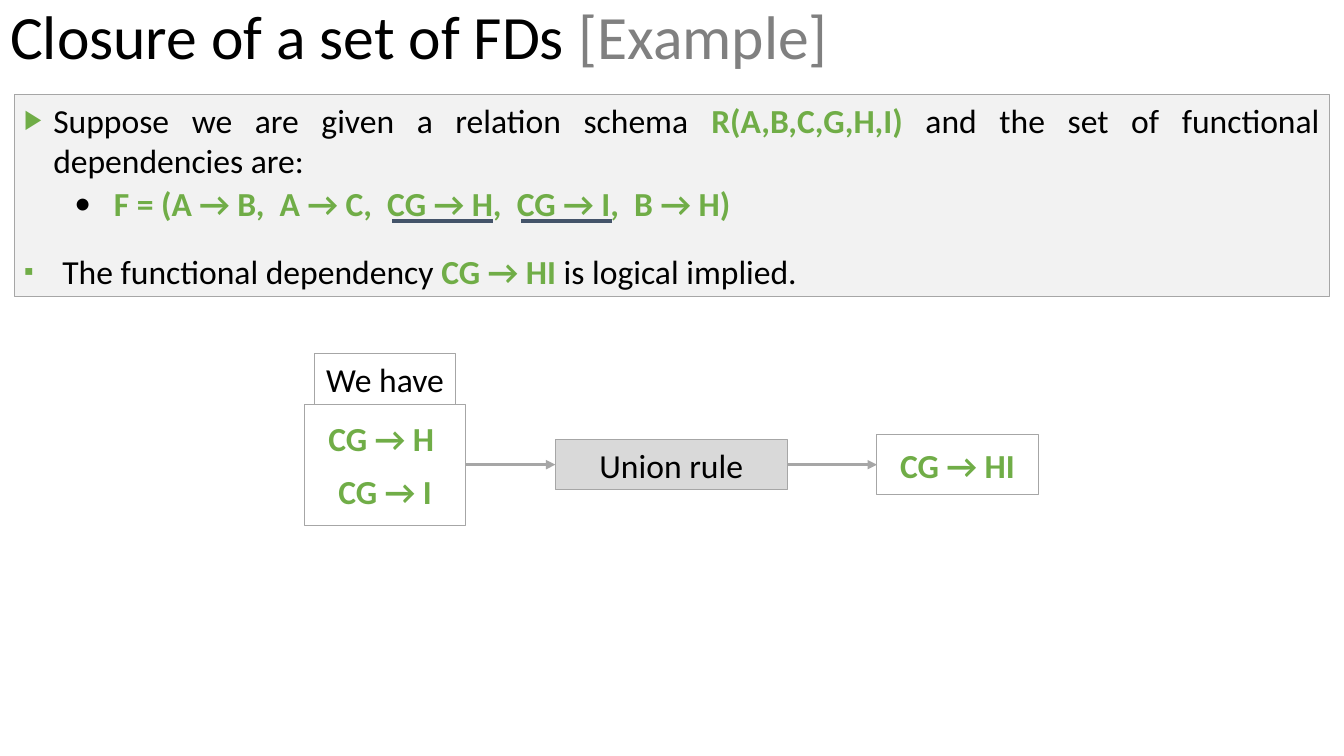
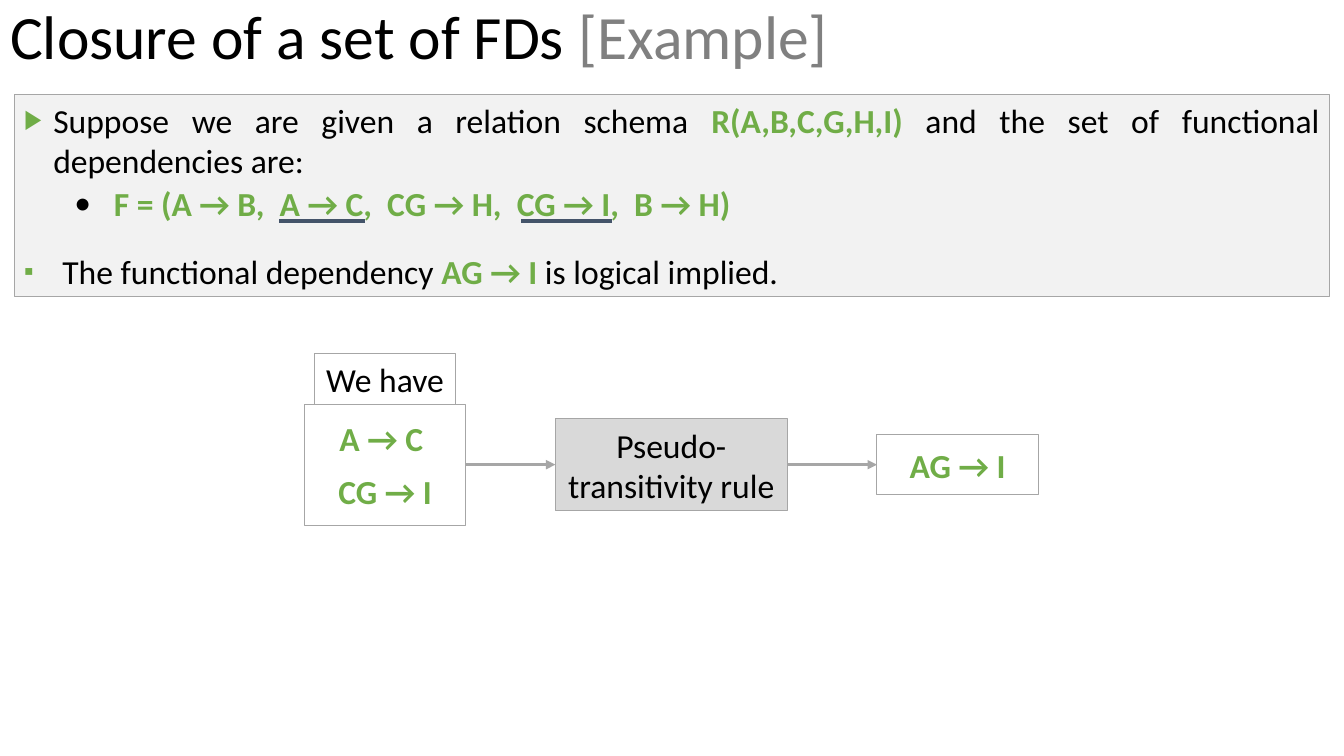
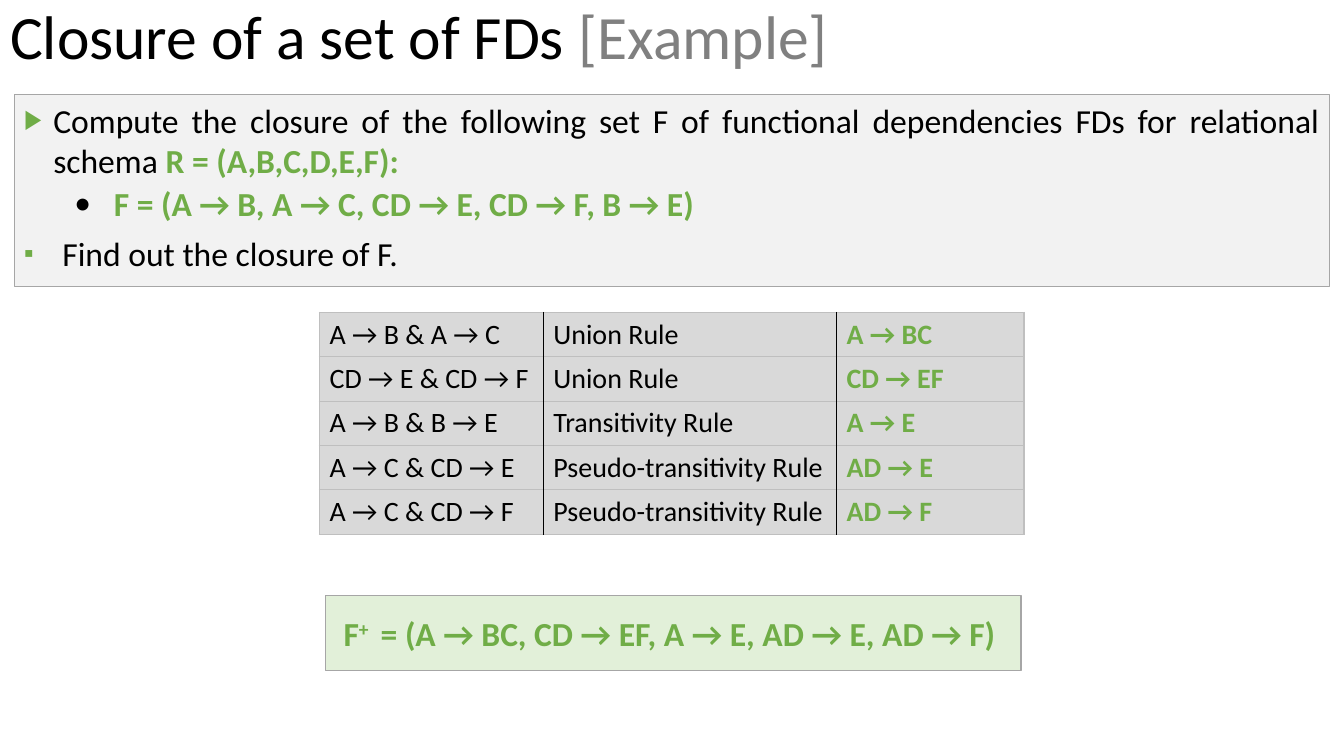
from pptx import Presentation
from pptx.dml.color import RGBColor
from pptx.enum.shapes import MSO_CONNECTOR, MSO_SHAPE
from pptx.enum.text import MSO_ANCHOR, PP_ALIGN
from pptx.oxml.ns import qn
from pptx.util import Inches, Pt
from lxml import etree

RECT = MSO_SHAPE.RECTANGLE
STRAIGHT = MSO_CONNECTOR.STRAIGHT
TOP, MIDDLE = MSO_ANCHOR.TOP, MSO_ANCHOR.MIDDLE
LEFT, CENTER, JUSTIFY = PP_ALIGN.LEFT, PP_ALIGN.CENTER, PP_ALIGN.JUSTIFY

BLACK = RGBColor(0x00, 0x00, 0x00)
GREEN = RGBColor(0x70, 0xAD, 0x47)
MINT = RGBColor(0xE2, 0xF0, 0xD9)
NAVY = RGBColor(0x44, 0x54, 0x6A)
DARK = RGBColor(0x80, 0x80, 0x80)
GRAY = RGBColor(0xA6, 0xA6, 0xA6)
RULE = RGBColor(0xBF, 0xBF, 0xBF)
SILVER = RGBColor(0xD9, 0xD9, 0xD9)
PALE = RGBColor(0xF2, 0xF2, 0xF2)

FONT = "Calibri"
TITLE = "Closure of a set of FDs *[Example]*"
MID = 4.61  # centre line of the rule diagram

# Bullet styles: mark, mark colour, size in percent, level, margin, hang
ARROW = ("▶", GREEN, 80, 0, 0.29, 0.29)
DOT = ("•", BLACK, 100, 1, 0.89, 0.39)
SQUARE = ("▪", GREEN, 80, 1, 0.38, 0.38)

SCHEMA = ("Suppose we are given a relation schema *R(A,B,C,G,H,I)* "
          "and the set of functional dependencies are:")
GIVEN = "*F = (A → B,  A → C,  CG → H,  CG → I,  B → H)*"

WIDTHS = [2.22, 2.91, 1.86]
STEPS = [
    ("A → B & A → C", "Union Rule", "*A → BC*"),
    ("CD → E & CD → F", "Union Rule", "*CD → EF*"),
    ("A → B & B → E", "Transitivity Rule", "*A → E*"),
    ("A → C & CD → E", "Pseudo-transitivity Rule", "*AD → E*"),
    ("A → C & CD → F", "Pseudo-transitivity Rule", "*AD → F*"),
]


def write(para, text, size=24, accent=GREEN, bold=True):
    """Fill a paragraph; parts between stars take the accent colour."""
    for i, part in enumerate(text.split("*")):
        if part:
            run = para.add_run()
            run.text = part
            font = run.font
            font.name, font.size = FONT, Pt(size)
            font.bold = bool(i % 2) and bold
            font.color.rgb = accent if i % 2 else BLACK


def paras(frame, count):
    """Return the given number of paragraphs of a text frame."""
    return [frame.paragraphs[0]] + [frame.add_paragraph()
                                    for _ in range(count - 1)]


def add_color(parent, color):
    etree.SubElement(parent, qn("a:srgbClr"), val=str(color))


def add_title(deck):
    """Add a slide with the shared title."""
    slide = deck.slides.add_slide(deck.slide_layouts[5])
    title = slide.shapes.title
    title.left = title.top = 0
    title.width, title.height = deck.slide_width, Inches(0.78)
    frame = title.text_frame
    frame.vertical_anchor = MIDDLE
    para = frame.paragraphs[0]
    para.alignment, para.line_spacing = LEFT, 0.9
    write(para, TITLE, 44, DARK, False)
    return slide


def add_rect(slide, x, y, w, h, fill=None, anchor=MIDDLE):
    """Add a grey-edged rectangle and return its text frame."""
    rect = slide.shapes.add_shape(RECT, Inches(x), Inches(y),
                                  Inches(w), Inches(h))
    rect.shadow.inherit = False
    rect.line.color.rgb, rect.line.width = GRAY, Pt(0.75)
    if fill is None:
        rect.fill.background()
    else:
        rect.fill.solid()
        rect.fill.fore_color.rgb = fill
    frame = rect.text_frame
    frame.word_wrap, frame.vertical_anchor = True, anchor
    return frame


def add_box(slide, x, mid, w, h, lines, fill=None):
    """Add a box of centred lines around the height mid."""
    frame = add_rect(slide, x, mid - h / 2, w, h, fill)
    for para, text in zip(paras(frame, len(lines)), lines):
        para.alignment, para.space_before = CENTER, Pt(9)
        write(para, text)
    return frame


def add_bullet(para, bullet):
    """Give a paragraph its mark and indents."""
    mark, color, size, level, margin, hang = bullet
    para.level = level
    props = para._p.get_or_add_pPr()
    props.set("marL", str(Inches(margin)))
    props.set("indent", str(-Inches(hang)))
    add_color(etree.SubElement(props, qn("a:buClr")), color)
    etree.SubElement(props, qn("a:buSzPct"), val=str(size * 1000))
    etree.SubElement(props, qn("a:buFont"), typeface=FONT)
    etree.SubElement(props, qn("a:buChar"), char=mark)


def add_panel(slide, height, items):
    """Add the bulleted panel; items are text, bullet, spacing, gap."""
    frame = add_rect(slide, 0.14, 0.94, 13.05, height, PALE, TOP)
    for para, item in zip(paras(frame, len(items)), items):
        text, bullet, spacing, gap = item
        para.alignment = JUSTIFY
        para.line_spacing, para.space_before = spacing, Pt(gap)
        write(para, text)
        add_bullet(para, bullet)


def add_line(slide, x1, x2, y, color, width, arrow=False):
    """Add a level line, with an arrowhead at its end if asked."""
    line = slide.shapes.add_connector(STRAIGHT, Inches(x1), Inches(y),
                                      Inches(x2), Inches(y))
    line.line.color.rgb, line.line.width = color, Pt(width)
    if arrow:
        etree.SubElement(line.get_or_add_ln(), qn("a:tailEnd"),
                         type="triangle")
    etree.SubElement(line._element.spPr, qn("a:effectLst"))


def add_step(slide, y, texts):
    """Add one derivation step as a table of a single row."""
    table = slide.shapes.add_table(
        1, len(WIDTHS), Inches(3.17), Inches(y),
        Inches(sum(WIDTHS)), Inches(0.43)).table
    table.first_row = table.horz_banding = False
    last = len(WIDTHS) - 1
    for c, (text, width) in enumerate(zip(texts, WIDTHS)):
        table.columns[c].width = Inches(width)
        cell = table.cell(0, c)
        edges = {"L": BLACK if c else RULE,
                 "R": BLACK if c < last else RULE,
                 "T": RULE, "B": RULE}
        props = cell._tc.get_or_add_tcPr()
        for side, color in edges.items():
            edge = etree.SubElement(props, qn("a:ln" + side), w=str(Pt(1)))
            add_color(etree.SubElement(edge, qn("a:solidFill")), color)
        cell.fill.solid()
        cell.fill.fore_color.rgb = SILVER
        write(cell.text_frame.paragraphs[0], text, 20)


def add_proof(deck, facts, rule, height, result, marks):
    """Add a slide that derives one dependency by a rule."""
    slide = add_title(deck)
    claim = f"The functional dependency *{result} *is logical implied. "
    add_panel(slide, 2, [(SCHEMA, ARROW, 1.0, 18), (GIVEN, DOT, 0.9, 5),
                         (claim, SQUARE, 1.5, 5)])
    # Facts, rule and result
    add_box(slide, 3.02, MID, 1.6, 1.2, facts)
    add_box(slide, 3.12, 3.76, 1.4, 0.5, ["We have"])
    add_box(slide, 5.51, MID, 2.3, height, [rule], SILVER)
    add_box(slide, 8.7, MID, 1.6, 0.6, [f"*{result}*"])
    for start in (4.62, 7.81):
        add_line(slide, start, start + 0.89, MID, GRAY, 2.25, True)
    # Underlines of the facts used
    for start, end in marks:
        add_line(slide, start, end, 2.19, NAVY, 3)


def add_closure(deck):
    """Add the slide that computes a whole closure."""
    slide = add_title(deck)
    task = ("Compute the closure of the following set F of functional "
            "dependencies FDs for relational schema *R = (A,B,C,D,E,F):*")
    add_panel(slide, 1.9, [
        (task, ARROW, 1.0, 18),
        ("*F = (A → B, A → C, CD → E, CD → F, B → E)*", DOT, 0.9, 5),
        ("Find out the closure of F.", SQUARE, 0.9, 10)])
    # Closure, with the plus raised
    frame = add_box(slide, 3.23, 6.28, 6.9, 0.75, [
        "*F**+ ** = (A → BC, CD → EF, A → E, AD → E, AD → F) *"], MINT)
    plus = frame.paragraphs[0].runs[1]
    plus._r.get_or_add_rPr().set("baseline", "30000")
    # Derivation steps
    for i, texts in enumerate(STEPS):
        add_step(slide, 3.1 + 0.44 * i, texts)


def main():
    deck = Presentation()
    deck.slide_width, deck.slide_height = Inches(40 / 3), Inches(7.5)
    last = (5.17, 6.07)
    add_proof(deck, ["*CG → H *", "*CG → I*"], "Union rule", 0.5,
              "CG → HI", [(3.89, 4.89), last])
    add_proof(deck, ["*A → C *", "*CG → I*"], "Pseudo-transitivity rule",
              0.91, "AG → I", [(2.77, 3.62), last])
    add_closure(deck)
    deck.save("out.pptx")


if __name__ == "__main__":
    main()
